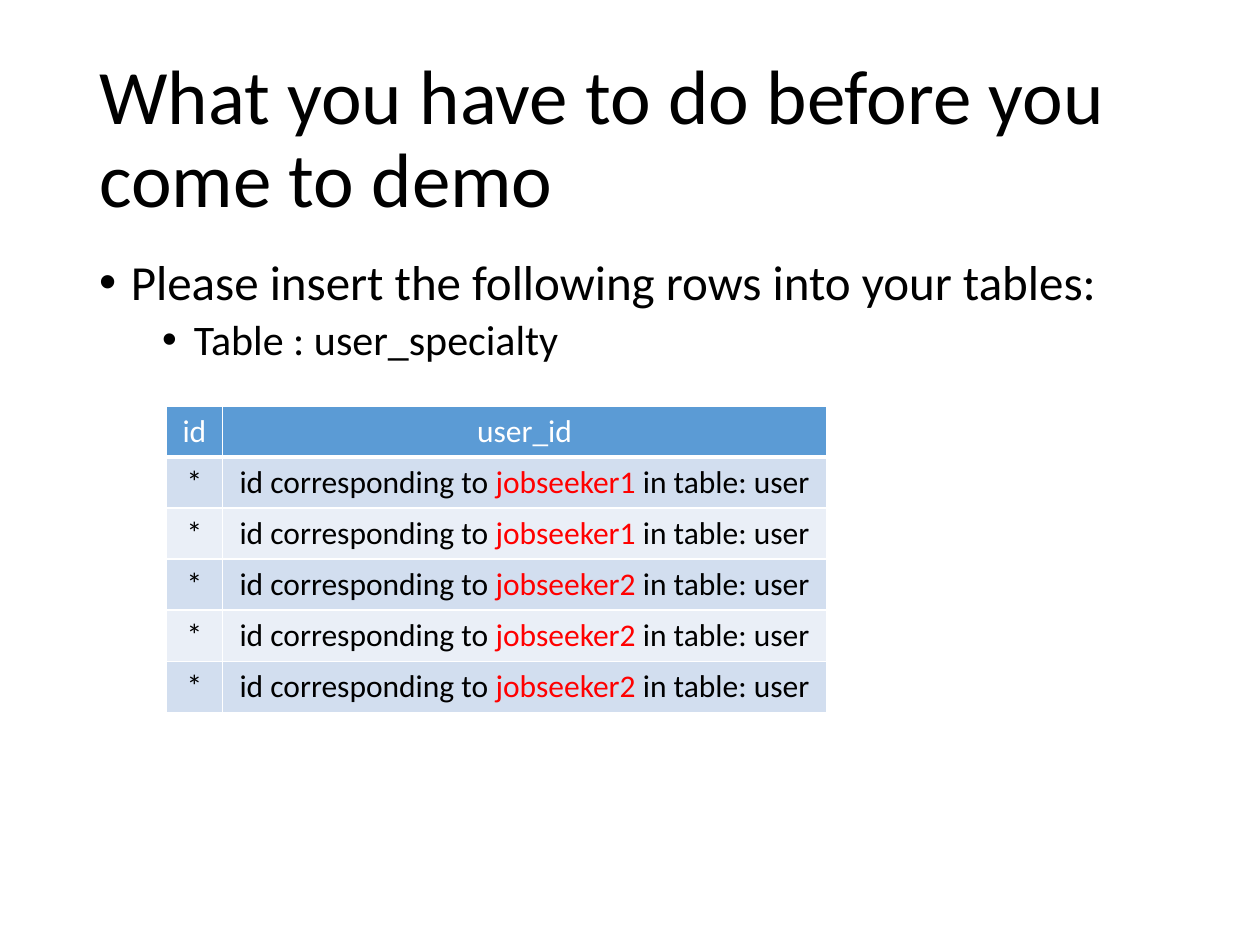
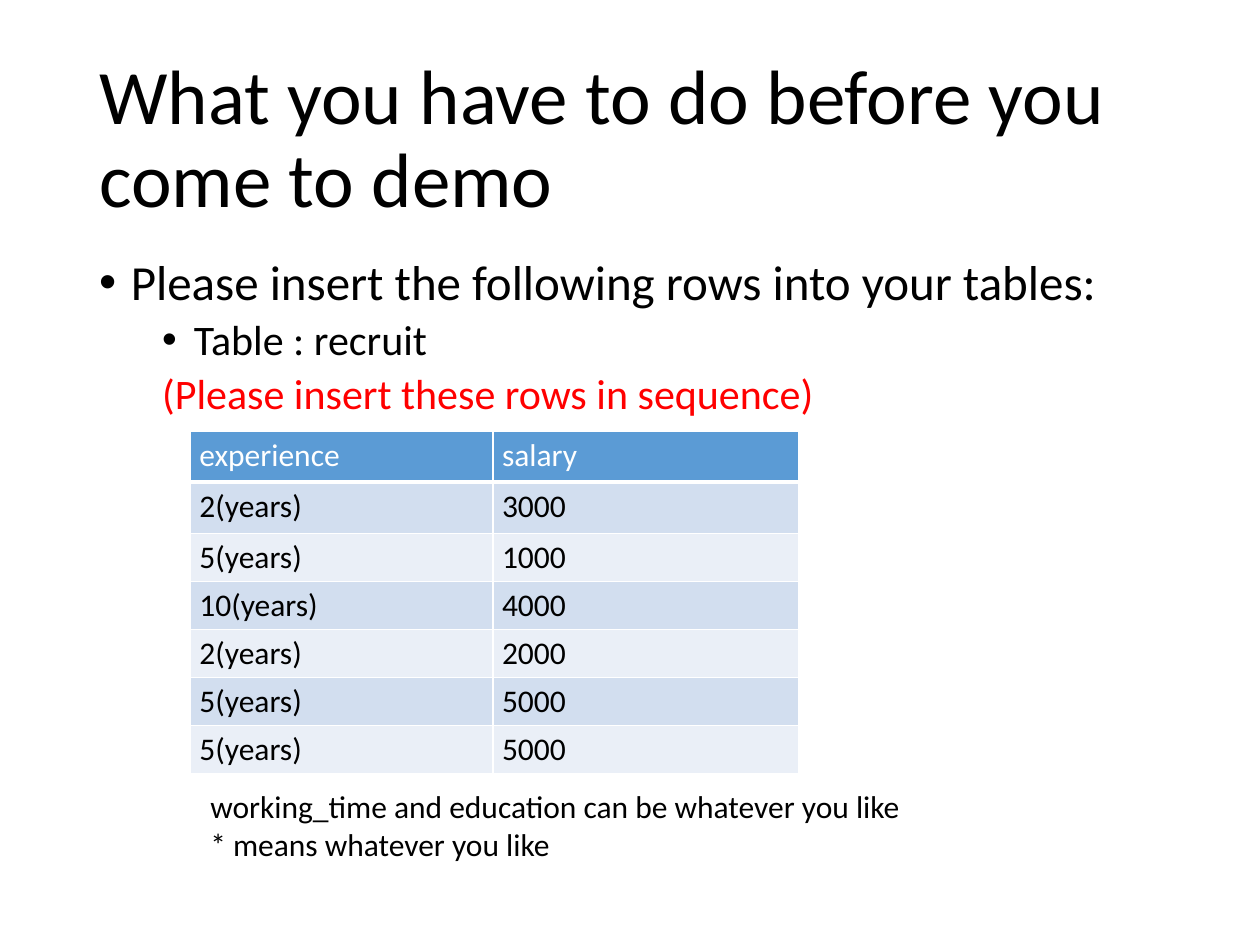
from lxml import etree
from pptx import Presentation
from pptx import util as u
from pptx.dml import color
from pptx.enum import text
from pptx.oxml import ns

FONT = "Calibri"
BLACK, WHITE, RED = "000000", "FFFFFF", "FF0000"
HEADER, BANDS = "5B9BD5", ("D2DEEF", "EAEFF7")


def rgb(value):
    return color.RGBColor.from_string(value)


def add_runs(paragraph, size, *pieces):
    for words, shade in pieces:
        run = paragraph.add_run()
        run.text = words
        run.font.name = FONT
        run.font.size = u.Pt(size)
        run.font.bold = False
        run.font.color.rgb = rgb(shade)


def user_row(name):
    return [
        [("*", BLACK)],
        [("id corresponding to ", BLACK), (name, RED), (" in table: user", BLACK)],
    ]


specialty_rows = [[[("id", WHITE)], [("user_id", WHITE)]]]
specialty_rows += [user_row(name) for name in ["jobseeker1"] * 2 + ["jobseeker2"] * 3]

recruits = [(2, 3000), (5, 1000), (10, 4000), (2, 2000), (5, 5000), (5, 5000)]
recruit_rows = [[[("experience", WHITE)], [("salary", WHITE)]]]
recruit_rows += [
    [[(f"{years}(years)", BLACK)], [(str(salary), BLACK)]] for years, salary in recruits
]

demo_steps = [
    dict(
        table_name="user_specialty", warning=None, body_height=2.72,
        rows=specialty_rows, left=3.35, top=8.18, widths=(1.14, 12.17),
        heights=[1.03] * 6, align=text.PP_ALIGN.CENTER, insets=(0.25, 0.13), notes=[],
    ),
    dict(
        table_name="recruit", warning="(Please insert these rows in sequence)",
        body_height=12.09, rows=recruit_rows, left=3.84, top=8.69, widths=(6.1, 6.17),
        heights=[1.03] * 2 + [0.97] * 5, align=text.PP_ALIGN.LEFT, insets=(0.18, 0.1),
        notes=["working_time and education can be whatever you like",
               "* means whatever you like"],
    ),
]

deck = Presentation()
deck.slide_width, deck.slide_height = u.Cm(25.4), u.Cm(19.05)

for step in demo_steps:
    slide = deck.slides.add_slide(deck.slide_layouts[6])

    title = slide.shapes.add_textbox(u.Cm(1.75), u.Cm(1.01), u.Cm(21.9), u.Cm(3.68)).text_frame
    title.word_wrap = True
    title.vertical_anchor = text.MSO_ANCHOR.MIDDLE
    title.paragraphs[0].line_spacing = 0.9
    add_runs(title.paragraphs[0], 44, ("What you have to do before you come to demo", BLACK))

    instructions = slide.shapes.add_textbox(
        u.Cm(1.75), u.Cm(5.07), u.Cm(21.9), u.Cm(step["body_height"])).text_frame
    instructions.word_wrap = True
    lines = [
        ("Please insert the following rows into your tables:", 28, BLACK, 10, 0, 0.64, -0.64),
        (f"Table : {step['table_name']}", 24, BLACK, 5, 1, 1.91, -0.64),
    ]
    if step["warning"]:
        lines.append((step["warning"], 24, RED, 5, 1, 1.27, 0))
    for index, (words, size, shade, before, level, margin, indent) in enumerate(lines):
        line = instructions.add_paragraph() if index else instructions.paragraphs[0]
        line.level = level
        line.line_spacing = 0.9
        line.space_before = u.Pt(before)
        add_runs(line, size, (words, shade))
        layout = line._p.get_or_add_pPr()
        layout.set("marL", str(u.Cm(margin)))
        layout.set("indent", str(u.Cm(indent)))
        if indent:
            etree.SubElement(layout, ns.qn("a:buFont"), typeface="Arial")
            etree.SubElement(layout, ns.qn("a:buChar"), char="•")
        else:
            etree.SubElement(layout, ns.qn("a:buNone"))

    widths, heights = step["widths"], step["heights"]
    sample = slide.shapes.add_table(
        len(heights), len(widths), u.Cm(step["left"]), u.Cm(step["top"]),
        u.Cm(sum(widths)), u.Cm(sum(heights))).table
    for column, width in zip(sample.columns, widths):
        column.width = u.Cm(width)
    for row, height in zip(sample.rows, heights):
        row.height = u.Cm(height)
    side, edge = step["insets"]
    for r, row in enumerate(step["rows"]):
        for c, pieces in enumerate(row):
            cell = sample.cell(r, c)
            cell.margin_left = cell.margin_right = u.Cm(side)
            cell.margin_top = cell.margin_bottom = u.Cm(edge)
            cell.fill.solid()
            cell.fill.fore_color.rgb = rgb(BANDS[(r - 1) % 2] if r else HEADER)
            cell.text_frame.paragraphs[0].alignment = step["align"]
            add_runs(cell.text_frame.paragraphs[0], 18, *pieces)
            for position, border in enumerate(("lnL", "lnR", "lnT", "lnB")):
                thickness = 3 if r == 0 and border == "lnB" else 1
                rule = etree.Element(ns.qn(f"a:{border}"), w=str(u.Pt(thickness)))
                paint = etree.SubElement(rule, ns.qn("a:solidFill"))
                etree.SubElement(paint, ns.qn("a:srgbClr"), val=WHITE)
                cell._tc.get_or_add_tcPr().insert(position, rule)

    if step["notes"]:
        remarks = slide.shapes.add_textbox(
            u.Cm(3.99), u.Cm(15.75), u.Cm(17.25), u.Cm(1.8)).text_frame
        remarks.word_wrap = True
        for index, words in enumerate(step["notes"]):
            remark = remarks.add_paragraph() if index else remarks.paragraphs[0]
            add_runs(remark, 18, (words, BLACK))

deck.save("out.pptx")
